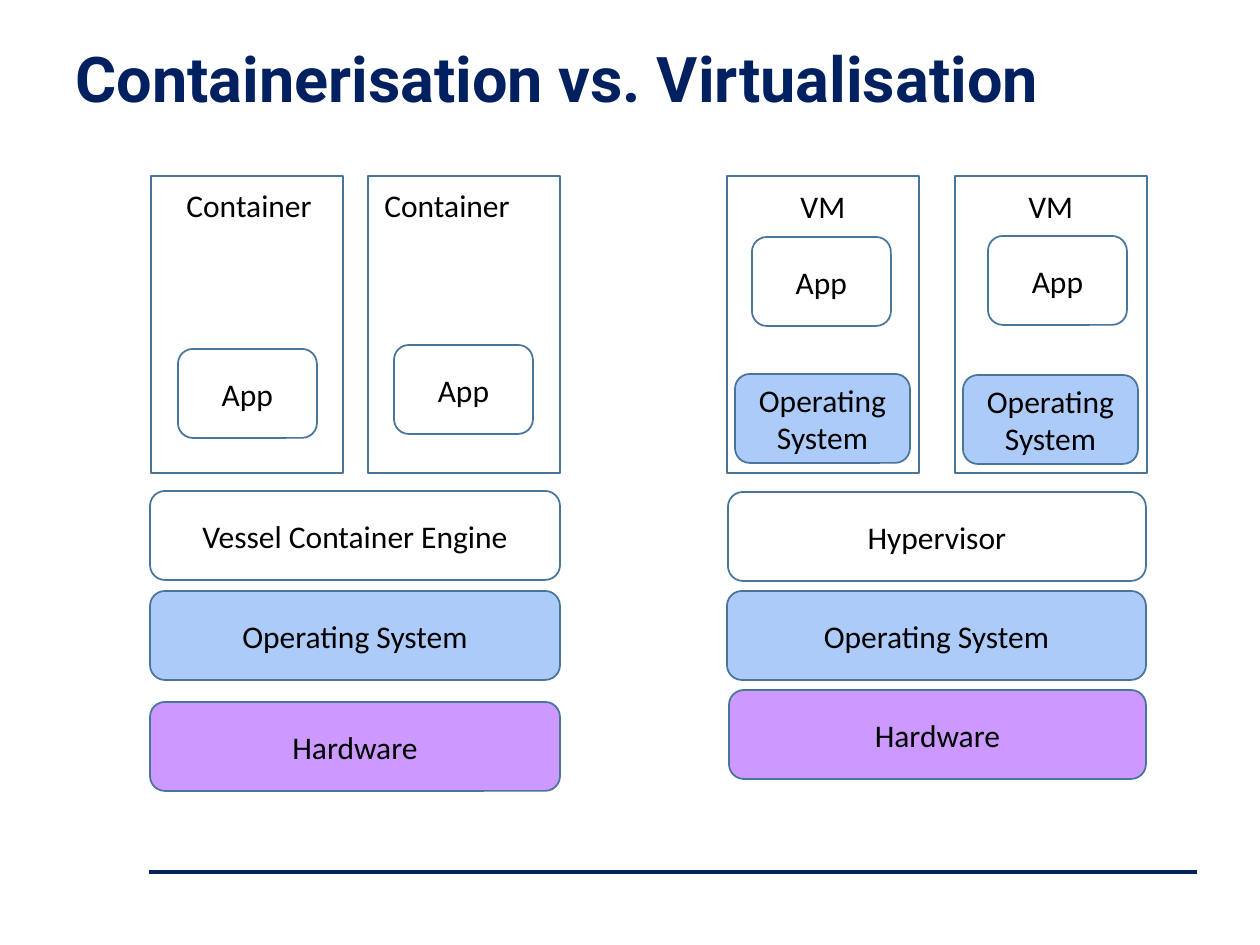
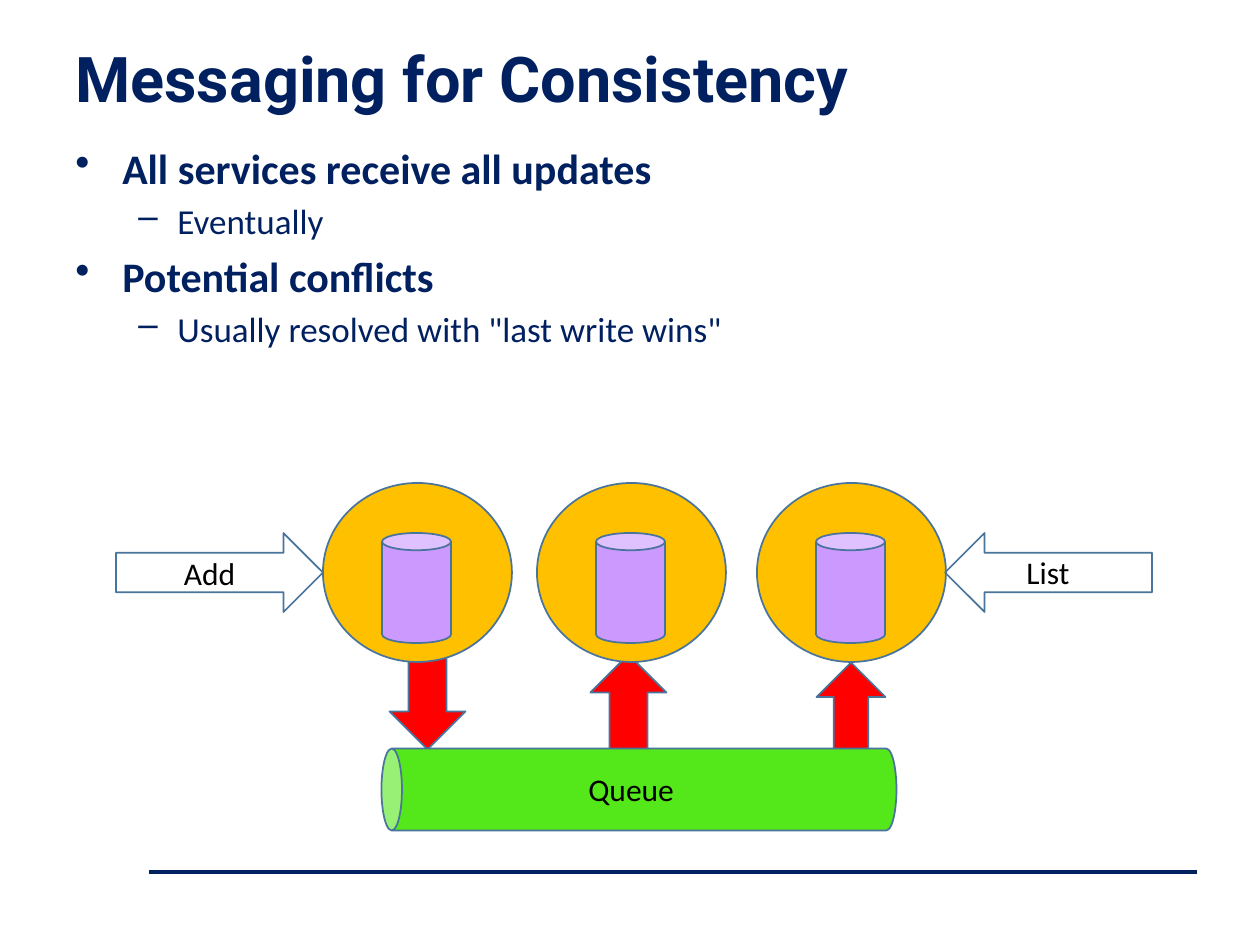
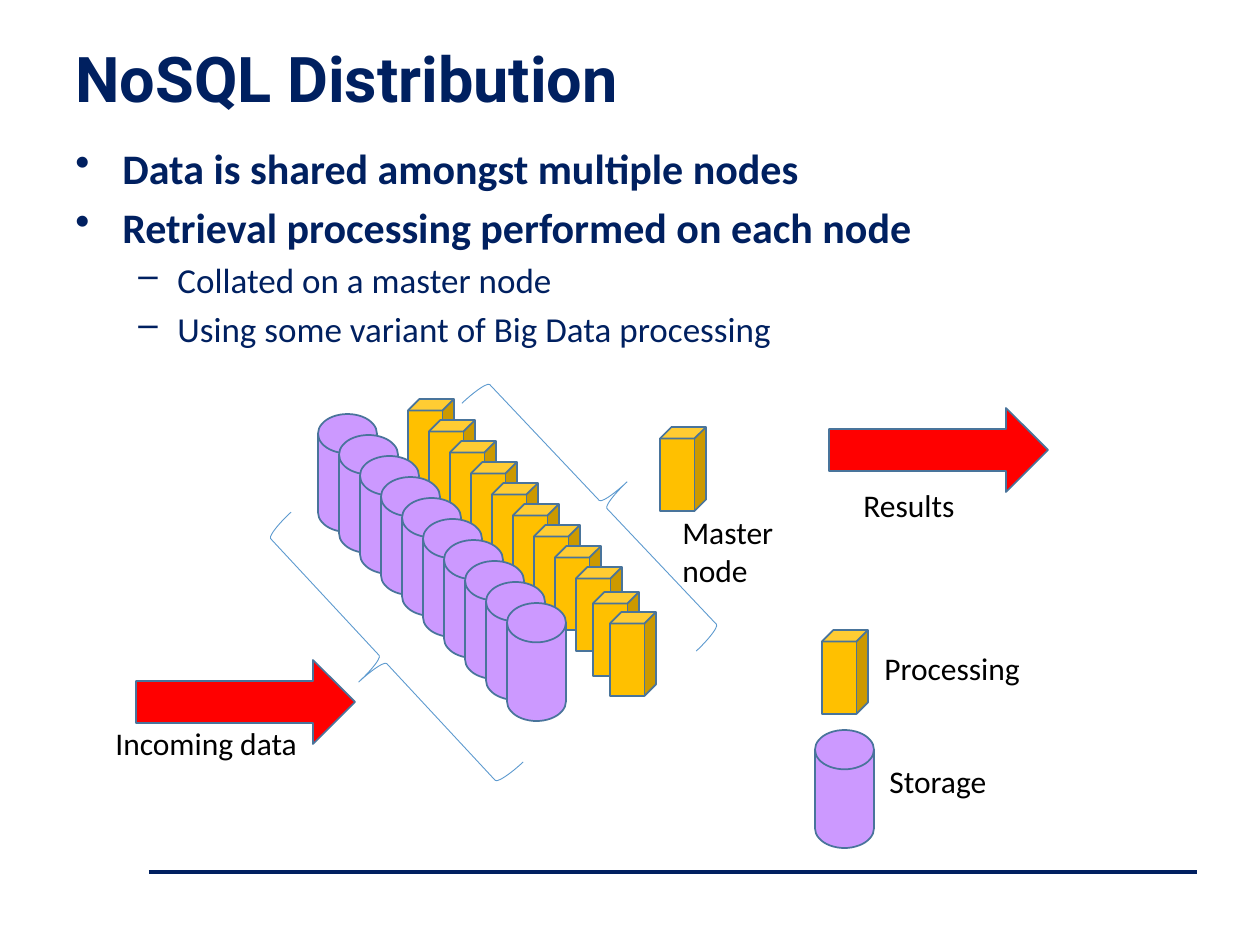
from lxml.etree import SubElement
from pptx import Presentation
from pptx.dml.color import RGBColor
from pptx.enum.shapes import MSO_CONNECTOR, MSO_SHAPE
from pptx.enum.text import MSO_ANCHOR, PP_ALIGN
from pptx.oxml.ns import qn
from pptx.util import Emu, Pt

PX_PER_INCH = 126
SLIDE_SIZE = (1260, 945)
COLORS = {
    "navy": "002060", "black": "000000", "outline": "49749B", "brace": "5D9ACF",
    "sky": "ACCBF9", "violet": "CC99FF", "amber": "FFC000", "red": "FF0000",
    "green": "54E719",
}
FORMATS = {
    "title": {"name": "Roboto", "size": Pt(36), "bold": True, "color": "navy"},
    "label": {"name": "Calibri", "size": Pt(18), "bold": False, "color": "black"},
    "point": {"name": "Calibri", "size": Pt(24), "bold": True, "color": "navy"},
    "detail": {"name": "Calibri", "size": Pt(20), "bold": False, "color": "navy"},
}
# Bullet sign, left margin, hanging indent and space before
BULLETS = {"point": ("•", 47, 47, Pt(4.8)), "detail": ("–", 102, 39, Pt(4))}
TITLE_BOX = (63, 38, 1172, 78)
BODY_BOX = (63, 136, 1134, 714)
FOOTER_LINE = (149, 872, 1197, 872)
CUBE_SIZE = (46, 84)
DISK_SIZE = (59, 118)
ARROW_SIZE = (219, 84)
TEXT_HEIGHT = 50


def px(length):
    return Emu(round(length * 914400 / PX_PER_INCH))


def place(box):
    return [px(length) for length in box]


def rgb(name):
    return RGBColor.from_string(COLORS[name])


def write(paragraph, text, style):
    paragraph.text = text
    for run in paragraph.runs:
        for name, value in FORMATS[style].items():
            if name == "color":
                run.font.color.rgb = rgb(value)
            else:
                setattr(run.font, name, value)


def add_part(parent, kind, box, fill=None, text="", rotation=0, line="outline", weight=1):
    """Add a preset shape to a slide or a group."""
    shape = parent.shapes.add_shape(kind, *place(box))
    shape.shadow.inherit = False
    shape.rotation = rotation
    shape.line.color.rgb = rgb(line)
    shape.line.width = Pt(weight)
    if fill:
        shape.fill.solid()
        shape.fill.fore_color.rgb = rgb(fill)
    else:
        shape.fill.background()
    if text:
        frame = shape.text_frame
        frame.word_wrap = True
        frame.vertical_anchor = MSO_ANCHOR.MIDDLE
        write(frame.paragraphs[0], text, "label")
        frame.paragraphs[0].alignment = PP_ALIGN.CENTER


def add_text(slide, box, text, style="label", wrap=False, anchor=MSO_ANCHOR.TOP):
    frame = slide.shapes.add_textbox(*place(box)).text_frame
    frame.word_wrap = wrap
    frame.vertical_anchor = anchor
    write(frame.paragraphs[0], text, style)


def add_base(presentation, title):
    """Start a slide with the shared title and footer line."""
    slide = presentation.slides.add_slide(presentation.slide_layouts[6])
    footer = slide.shapes.add_connector(MSO_CONNECTOR.STRAIGHT, *place(FOOTER_LINE))
    footer.line.color.rgb = rgb("navy")
    footer.line.width = Pt(2.25)
    SubElement(footer.element.spPr, qn("a:effectLst"))
    add_text(slide, TITLE_BOX, title, "title", True, MSO_ANCHOR.MIDDLE)
    return slide


def add_bullets(slide, box, items):
    frame = slide.shapes.add_textbox(*place(box)).text_frame
    frame.word_wrap = True
    for index, (style, text) in enumerate(items):
        paragraph = frame.add_paragraph() if index else frame.paragraphs[0]
        sign, margin, hanging, space = BULLETS[style]
        properties = paragraph._p.get_or_add_pPr()
        properties.set("marL", str(px(margin)))
        properties.set("indent", str(-px(hanging)))
        SubElement(properties, qn("a:buChar")).set("char", sign)
        if index:
            paragraph.space_before = space
        write(paragraph, text, style)


# Containers and virtual machines

def add_stack(slide, box, layers):
    """Place full-width layers; each gives its text, offset and fill."""
    left, top, width, height = box
    for text, inset, offset, fill in layers:
        add_part(slide, MSO_SHAPE.ROUNDED_RECTANGLE,
                 (left + inset, top + offset, width - inset, height), fill, text)


def add_unit(slide, box, caption, caption_box, parts):
    """Frame one container or machine around its inner parts."""
    left, top = box[:2]
    add_part(slide, MSO_SHAPE.RECTANGLE, box)
    x, y, width = caption_box
    add_text(slide, (left + x, top + y, width, TEXT_HEIGHT), caption)
    for text, x, y, width, fill in parts:
        add_part(slide, MSO_SHAPE.ROUNDED_RECTANGLE,
                 (left + x, top + y, width, 89), fill, text)


def build_comparison(presentation):
    slide = add_base(presentation, "Containerisation vs. Virtualisation")
    for left, caption_x, app_x, app_y in ((151, 23, 27, 173), (368, 4, 26, 169)):
        add_unit(slide, (left, 176, 192, 297), "Container", (caption_x, 4, 152),
                 [("App", app_x, app_y, 139, None)])
    for left, app_x, app_y, system_y in ((727, 25, 61, 198), (955, 33, 60, 199)):
        add_unit(slide, (left, 176, 192, 297), "VM", (61, 5, 71),
                 [("App", app_x, app_y, 139, None),
                  ("Operating System", 8, system_y, 175, "sky")])
    add_stack(slide, (150, 491, 410, 89), [
        ("Vessel Container Engine", 0, 0, None),
        ("Operating System", 0, 100, "sky"),
        ("Hardware", 0, 211, "violet")])
    add_stack(slide, (727, 491, 419, 89), [
        ("Hypervisor", 1, 1, None),
        ("Operating System", 0, 100, "sky"),
        ("Hardware", 2, 199, "violet")])


# Messaging

def add_service(slide, box):
    """Group a service circle with its data store."""
    left, top = box[:2]
    group = slide.shapes.add_group_shape()
    add_part(group, MSO_SHAPE.OVAL, box, "amber")
    add_part(group, MSO_SHAPE.CAN, (left + 59, top + 50, 69, 110), "violet")


def add_messaging(slide, box):
    left, top = box[:2]
    # Messages to and from the queue
    for x, y, width, height, rotation in (
            (217, 134, 189, 76, 90), (433, 213, 159, 76, 270), (659, 221, 152, 69, 270)):
        add_part(slide, MSO_SHAPE.RIGHT_ARROW, (left + x, top + y, width, height),
                 "red", rotation=rotation)
    for x in (207, 421, 641):
        add_service(slide, (left + x, top, 189, 179))
    # Requests
    add_part(slide, MSO_SHAPE.RIGHT_ARROW, (left, top + 50, 207, 79), text="Add")
    add_part(slide, MSO_SHAPE.RIGHT_ARROW, (left + 829, top + 50, 207, 79), rotation=180)
    add_text(slide, (left + 898, top + 64, 69, TEXT_HEIGHT), "List")
    # Queue
    add_part(slide, MSO_SHAPE.CAN, (left + 482, top + 49, 82, 515), "green", rotation=270)
    add_text(slide, (left + 460, top + 281, 112, TEXT_HEIGHT), "Queue")


def build_messaging(presentation):
    slide = add_base(presentation, "Messaging for Consistency")
    add_bullets(slide, BODY_BOX, [
        ("point", "All services receive all updates"),
        ("detail", "Eventually"),
        ("point", "Potential conflicts"),
        ("detail", "Usually resolved with \"last write wins\"")])
    add_messaging(slide, (116, 483, 1036, 347))


# Distribution

def add_cube(slide, left, top):
    add_part(slide, MSO_SHAPE.CUBE, (left, top, *CUBE_SIZE), "amber")


def add_disk(slide, left, top):
    add_part(slide, MSO_SHAPE.FLOWCHART_MAGNETIC_DISK, (left, top, *DISK_SIZE), "violet")


def add_cluster(slide, box):
    """Place diagonal rows of processing and storage between two braces."""
    left, top = box[:2]
    step = 21
    cubes = [(90 + step * index, step * index) for index in range(9)]
    for x, y in cubes + [(275, 193), (292, 213)]:
        add_cube(slide, left + x, top + y)
    for index in range(10):
        add_disk(slide, left + step * index, top + 15 + step * index)
    for x, y, rotation in ((32, 90, 317.1), (252, -65, 136.6)):
        add_part(slide, MSO_SHAPE.LEFT_BRACE, (left + x, top + y, 66, 341),
                 rotation=rotation, line="brace", weight=0.5)


def add_flow(slide, box, text, text_x, text_y, text_width):
    """Place a data arrow with its label."""
    left, top = box[:2]
    add_part(slide, MSO_SHAPE.RIGHT_ARROW, box, "red")
    add_text(slide, (left + text_x, top + text_y, text_width, TEXT_HEIGHT), text)


def add_legend(slide, box):
    left, top = box[:2]
    add_cube(slide, left + 7, top)
    add_text(slide, (left + 57, top + 13, 163, TEXT_HEIGHT), "Processing")
    add_disk(slide, left, top + 100)
    add_text(slide, (left + 62, top + 126, 123, TEXT_HEIGHT), "Storage")


def build_distribution(presentation):
    slide = add_base(presentation, "NoSQL Distribution")
    add_bullets(slide, BODY_BOX, [
        ("point", "Data is shared amongst multiple nodes"),
        ("point", "Retrieval processing performed on each node"),
        ("detail", "Collated on a master node"),
        ("detail", "Using some variant of Big Data processing")])
    add_cluster(slide, (318, 399, 338, 324))
    add_flow(slide, (136, 660, *ARROW_SIZE), "Incoming data", -33, 58, 209)
    add_flow(slide, (829, 408, *ARROW_SIZE), "Results", 22, 72, 117)
    # Master node
    add_cube(slide, 660, 427)
    add_text(slide, (670, 507, 125, 89), "Master\vnode")
    add_legend(slide, (815, 630, 220, 218))


def main():
    presentation = Presentation()
    presentation.slide_width, presentation.slide_height = place(SLIDE_SIZE)
    for build in (build_comparison, build_messaging, build_distribution):
        build(presentation)
    presentation.save("out.pptx")


if __name__ == "__main__":
    main()
